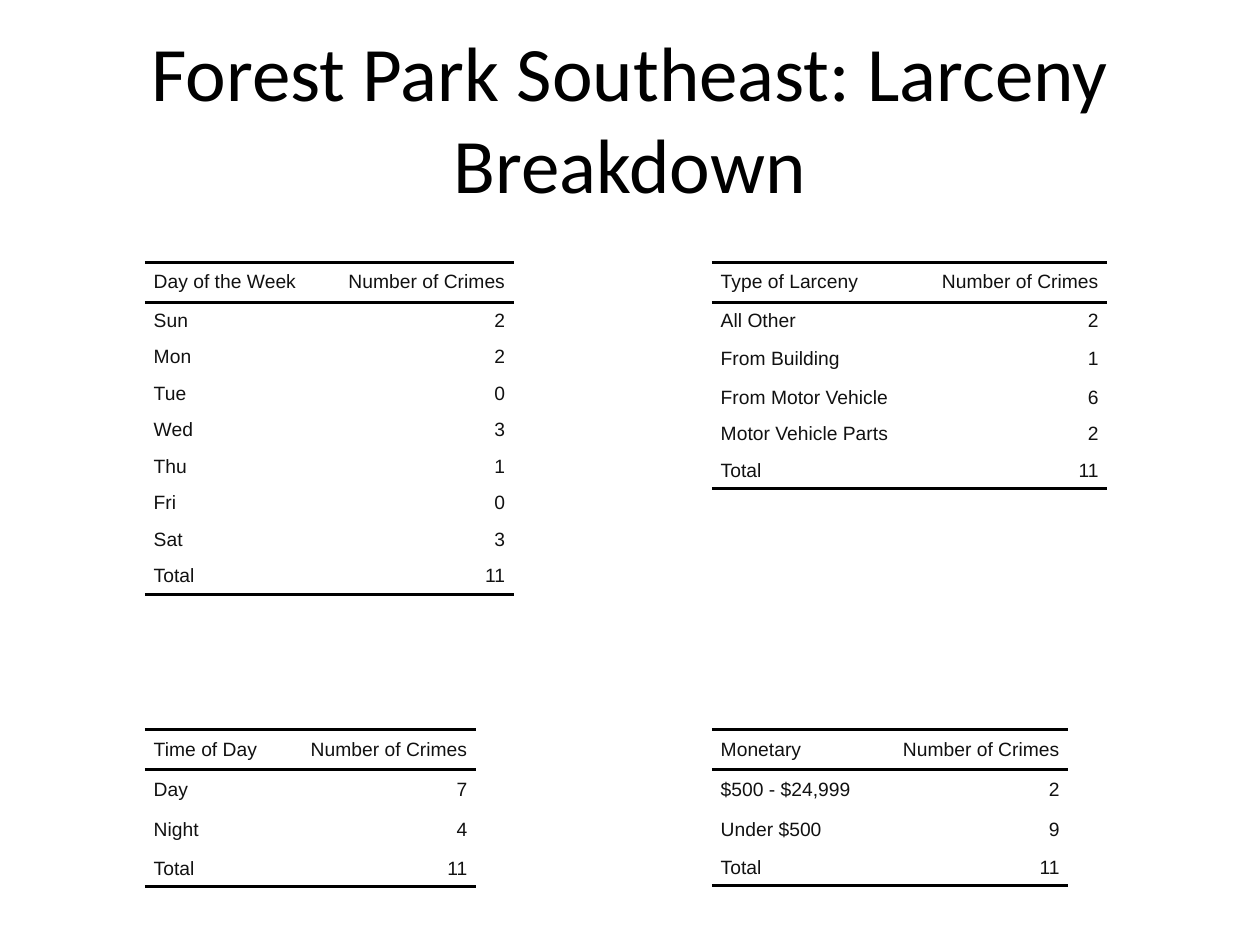
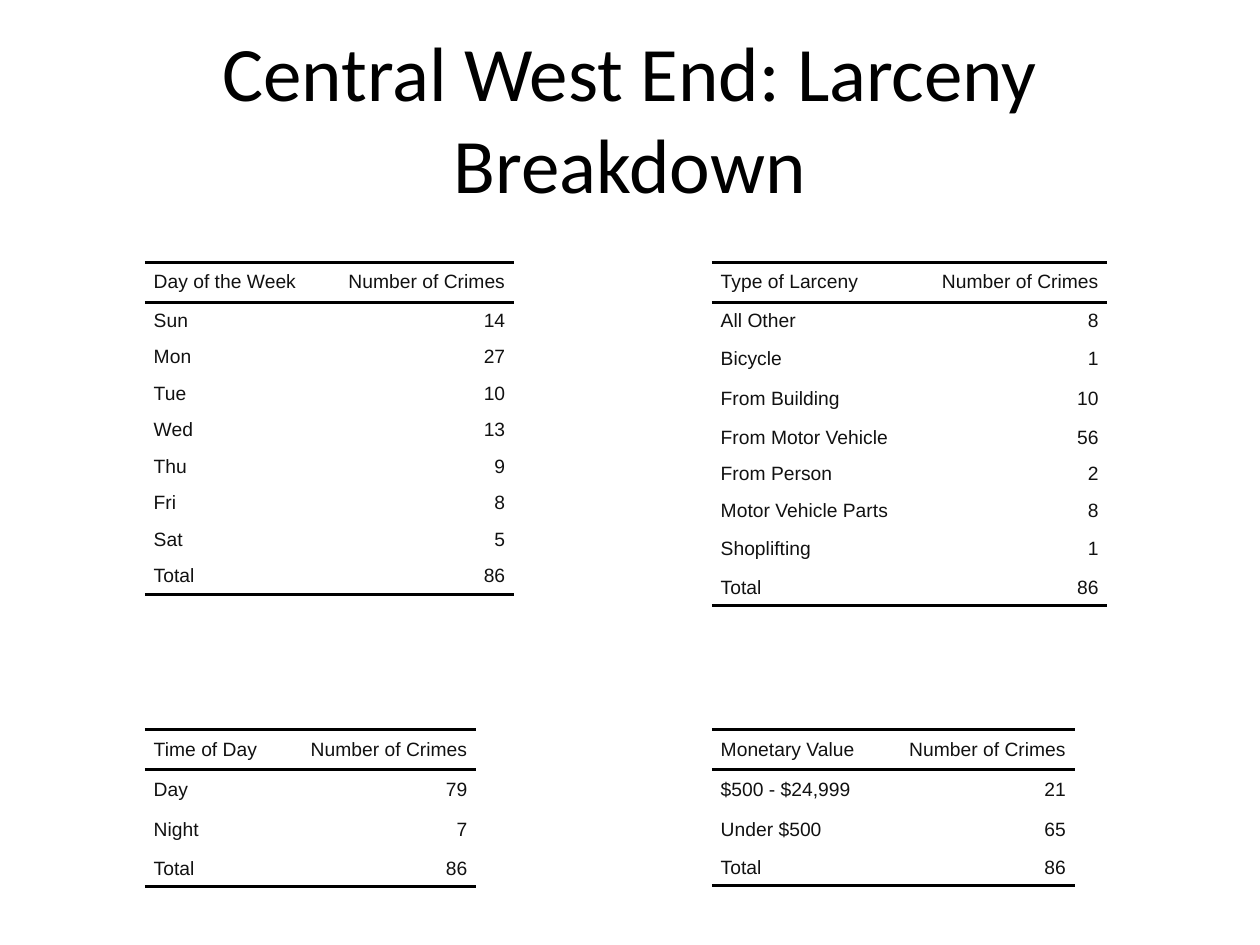
"""Build two slides of larceny breakdown tables, one per neighborhood."""
from dataclasses import dataclass

from lxml.etree import SubElement
from pptx import Presentation
from pptx.dml.color import RGBColor
from pptx.enum.text import MSO_ANCHOR as Anchor, PP_ALIGN as Align
from pptx.oxml.ns import qn
from pptx.slide import Slide
from pptx.table import _Cell as Cell
from pptx.util import Inches, Pt

COLORS = {"title": "000000", "rule": "000000", "text": "111111"}
TITLE_FONT, TABLE_FONT = "Calibri", "Arial"
NO_STYLE_NO_GRID = "{2D5ABB26-0587-4C30-8999-92F81FD0307C}"

LEFT, RIGHT = 1.15, 5.65
TOP, BOTTOM = 2.08, 5.79
COUNT_WIDTH = 1.52
CELL_INDENT = Inches(0.07)
HEADER_HEIGHT, ROW_HEIGHT, TALL_HEIGHT = 0.32, 0.29, 0.32
SPECIAL_HEIGHTS = {
    **dict.fromkeys(
        ["From Building", "Bicycle", "Shoplifting", "Day", "Night", "$500 - $24,999"],
        TALL_HEIGHT,
    ),
    "Under $500": 0.31,
}
DAYS = ["Sun", "Mon", "Tue", "Wed", "Thu", "Fri", "Sat"]
TIMES = ["Day", "Night"]
VALUES = ["$500 - $24,999", "Under $500"]


@dataclass(frozen=True)
class CrimeTable:
    heading: str
    left: float
    top: float
    label_width: float
    counts: dict[str, int]


@dataclass(frozen=True)
class Neighborhood:
    name: str
    by_day: list[int]
    by_time: list[int]
    by_type: dict[str, int]
    by_value: list[int]
    value_heading: str
    value_width: float

    def tables(self) -> list[CrimeTable]:
        return [
            CrimeTable("Day of the Week", LEFT, TOP, 1.41, dict(zip(DAYS, self.by_day))),
            CrimeTable("Time of Day", LEFT, BOTTOM, 1.11, dict(zip(TIMES, self.by_time))),
            CrimeTable("Type of Larceny", RIGHT, TOP, 1.62, self.by_type),
            CrimeTable(self.value_heading, RIGHT, BOTTOM, self.value_width,
                       dict(zip(VALUES, self.by_value))),
        ]


NEIGHBORHOODS = [
    Neighborhood(
        "Forest Park Southeast",
        by_day=[2, 2, 0, 3, 1, 0, 3],
        by_time=[7, 4],
        by_type={"All Other": 2, "From Building": 1, "From Motor Vehicle": 6,
                 "Motor Vehicle Parts": 2},
        by_value=[2, 9],
        value_heading="Monetary",
        value_width=1.31,
    ),
    Neighborhood(
        "Central West End",
        by_day=[14, 27, 10, 13, 9, 8, 5],
        by_time=[79, 7],
        by_type={"All Other": 8, "Bicycle": 1, "From Building": 10,
                 "From Motor Vehicle": 56, "From Person": 2,
                 "Motor Vehicle Parts": 8, "Shoplifting": 1},
        by_value=[21, 65],
        value_heading="Monetary Value",
        value_width=1.36,
    ),
]


def add_title(page: Slide, title: str) -> None:
    box = page.shapes.add_textbox(Inches(0.5), Inches(0.3), Inches(9), Inches(1.25))
    frame = box.text_frame
    frame.word_wrap = True
    frame.vertical_anchor = Anchor.MIDDLE
    frame.text = title
    para = frame.paragraphs[0]
    para.alignment = Align.CENTER
    font = para.runs[0].font
    font.name, font.size = TITLE_FONT, Pt(44)
    font.color.rgb = RGBColor.from_string(COLORS["title"])


def add_rules(cell: Cell, sides: list[str]) -> None:
    properties = cell._tc.get_or_add_tcPr()
    for position, side in enumerate(sides):
        line = SubElement(properties, qn(f"a:{side}"), w=str(Pt(2)))
        fill = SubElement(line, qn("a:solidFill"))
        SubElement(fill, qn("a:srgbClr"), val=COLORS["rule"])
        properties.insert(position, line)


def fill_cell(cell: Cell, text: str, align: Align, rules: list[str]) -> None:
    cell.fill.background()
    cell.margin_left = cell.margin_right = cell.margin_top = cell.margin_bottom = 0
    cell.vertical_anchor = Anchor.MIDDLE
    cell.text_frame.text = text
    para = cell.text_frame.paragraphs[0]
    para.alignment = align
    para.space_before = para.space_after = Pt(2)
    for margin in ("marL", "marR"):
        para._p.get_or_add_pPr().set(margin, str(CELL_INDENT))
    font = para.runs[0].font
    font.name, font.size = TABLE_FONT, Pt(11)
    font.color.rgb = RGBColor.from_string(COLORS["text"])
    add_rules(cell, rules)


def add_crime_table(page: Slide, crimes: CrimeTable) -> None:
    rows = [(crimes.heading, "Number of Crimes"), *crimes.counts.items(),
            ("Total", sum(crimes.counts.values()))]
    heights = [HEADER_HEIGHT]
    heights += [SPECIAL_HEIGHTS.get(label, ROW_HEIGHT) for label, _ in rows[1:]]
    widths = [crimes.label_width, COUNT_WIDTH]
    frame = page.shapes.add_table(
        len(rows), len(widths), Inches(crimes.left), Inches(crimes.top),
        Inches(sum(widths)), Inches(sum(heights)))
    frame.element.find(f".//{qn('a:tableStyleId')}").text = NO_STYLE_NO_GRID
    table = frame.table
    table.first_row = table.horz_banding = False
    for column, width in zip(table.columns, widths):
        column.width = Inches(width)
    rules = {0: ["lnT", "lnB"], len(rows) - 1: ["lnB"]}
    for index, (values, height) in enumerate(zip(rows, heights)):
        table.rows[index].height = Inches(height)
        for cell, value, align in zip(table.rows[index].cells, values,
                                      (Align.LEFT, Align.RIGHT)):
            fill_cell(cell, str(value), align, rules.get(index, []))


def main() -> None:
    deck = Presentation()
    deck.slide_width, deck.slide_height = Inches(10), Inches(7.5)
    for neighborhood in NEIGHBORHOODS:
        page = deck.slides.add_slide(deck.slide_layouts[6])
        add_title(page, f"{neighborhood.name}: Larceny Breakdown")
        for crimes in neighborhood.tables():
            add_crime_table(page, crimes)
    deck.save("out.pptx")


if __name__ == "__main__":
    main()
